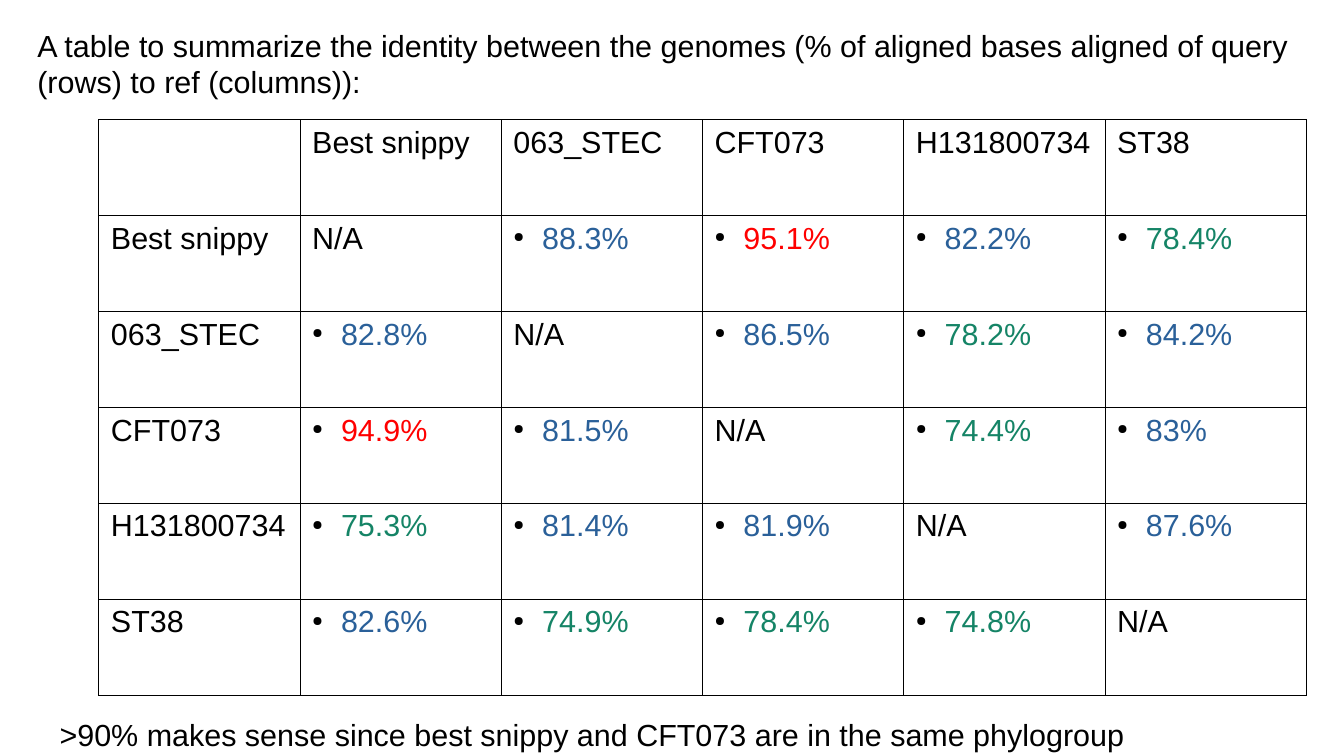
"""Build a slide with a table of pairwise genome identities."""
from lxml.etree import SubElement
from pptx import Presentation
from pptx.dml.color import RGBColor
from pptx.oxml.ns import qn
from pptx.util import Pt

TITLE = ("A table to summarize the identity between the genomes "
         "(% of aligned bases aligned of query (rows) to ref (columns)):")
NOTE = ">90% makes sense since best snippy and CFT073 are in the same phylogroup"
GENOMES = ["Best snippy", "063_STEC", "CFT073", "H131800734", "ST38"]
IDENTITIES = [
    ["N/A", "88.3%", "95.1%", "82.2%", "78.4%"],
    ["82.8%", "N/A", "86.5%", "78.2%", "84.2%"],
    ["94.9%", "81.5%", "N/A", "74.4%", "83%"],
    ["75.3%", "81.4%", "81.9%", "N/A", "87.6%"],
    ["82.6%", "74.9%", "78.4%", "74.8%", "N/A"],
]
BLACK, RED, BLUE, GREEN = "000000", "FF0000", "2A6099", "158466"
COLUMN_WIDTH, ROW_HEIGHT = 118.8, 56.64
BORDER, BULLET_INDENT = 0.57, 17


def add_text(para, text, color=BLACK):
    span = para.add_run()
    span.text = text
    span.font.name = "Arial"
    span.font.size = Pt(18)
    span.font.color.rgb = RGBColor.from_string(color)


def add_box(page, text, left, top, width, height, wrap):
    box = page.shapes.add_textbox(Pt(left), Pt(top), Pt(width), Pt(height))
    box.text_frame.word_wrap = wrap
    add_text(box.text_frame.paragraphs[0], text)


def identity_color(text):
    value = float(text.rstrip("%"))
    return RED if value > 90 else BLUE if value > 80 else GREEN


def add_bullet(para):
    properties = para._p.get_or_add_pPr()
    properties.set("marL", str(Pt(BULLET_INDENT)))
    properties.set("indent", str(-Pt(BULLET_INDENT)))
    color = SubElement(properties, qn("a:buClr"))
    SubElement(color, qn("a:srgbClr"), val=BLACK)
    SubElement(properties, qn("a:buSzPct"), val="45000")
    SubElement(properties, qn("a:buChar"), char="●")


def add_borders(cell):
    properties = cell._tc.get_or_add_tcPr()
    for side in ("lnL", "lnR", "lnT", "lnB"):
        line = SubElement(properties, qn(f"a:{side}"), w=str(Pt(BORDER)))
        fill = SubElement(line, qn("a:solidFill"))
        SubElement(fill, qn("a:srgbClr"), val=BLACK)


def fill_cell(cell, text):
    add_borders(cell)
    cell.fill.background()
    para = cell.text_frame.paragraphs[0]
    if text.endswith("%"):
        add_bullet(para)
        add_text(para, text, identity_color(text))
    elif text:
        add_text(para, text)


def add_identity_table(page, left, top):
    rows = [["", *GENOMES]]
    rows += [[name, *values] for name, values in zip(GENOMES, IDENTITIES)]
    count = len(rows)
    table = page.shapes.add_table(count, count, Pt(left), Pt(top),
                                  Pt(COLUMN_WIDTH * count), Pt(ROW_HEIGHT * count)).table
    table.first_row = table.horz_banding = False
    for column in table.columns:
        column.width = Pt(COLUMN_WIDTH)
    for row, texts in zip(table.rows, rows):
        row.height = Pt(ROW_HEIGHT)
        for cell, text in zip(row.cells, texts):
            fill_cell(cell, text)


def main():
    deck = Presentation()
    deck.slide_width, deck.slide_height = Pt(793.44), Pt(446.4)
    page = deck.slides.add_slide(deck.slide_layouts[6])
    add_box(page, TITLE, 15, 12.2, 767.5, 177, True)
    add_identity_table(page, 58.3, 70.6)
    add_box(page, NOTE, 28.1, 419, 643, 27.4, False)
    deck.save("out.pptx")


if __name__ == "__main__":
    main()
